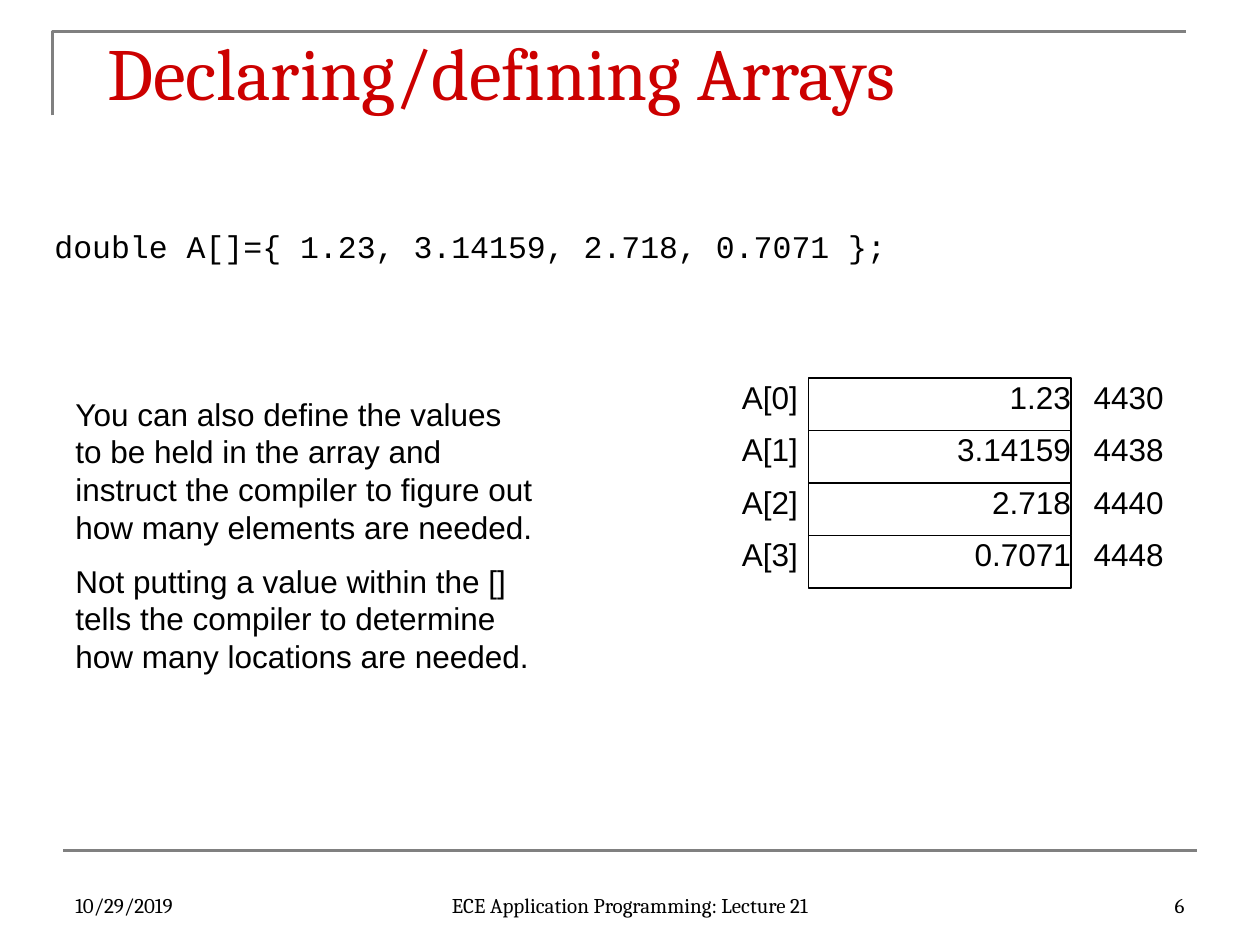
"""Builds the slide on declaring and defining arrays."""
import pptx
import pptx.dml.color
import pptx.enum.shapes
import pptx.enum.text
import pptx.oxml.ns
import pptx.util
import lxml.etree

Pt = pptx.util.Pt
ALIGN = pptx.enum.text.PP_ALIGN
ANCHOR = pptx.enum.text.MSO_ANCHOR
BLACK, GRAY, RED = "000000", "808080", "CC0000"


def color(value):
    """Return the colour for a hex string."""
    return pptx.dml.color.RGBColor.from_string(value)


def place(shape, left, top, width, height):
    """Move and size a shape in points."""
    shape.left, shape.top = Pt(left), Pt(top)
    shape.width, shape.height = Pt(width), Pt(height)


def write(shape, paragraphs, font="Arial", size=18, ink=BLACK,
          align=ALIGN.LEFT, anchor=ANCHOR.TOP, inset=None):
    """Fill a shape with formatted paragraphs."""
    frame = shape.text_frame
    frame.word_wrap = True
    frame.auto_size = pptx.enum.text.MSO_AUTO_SIZE.NONE
    frame.vertical_anchor = anchor
    if inset is not None:
        frame.margin_left = frame.margin_right = Pt(inset)
        frame.margin_top = frame.margin_bottom = Pt(inset)
    for index, text in enumerate(paragraphs):
        paragraph = frame.add_paragraph() if index else frame.paragraphs[0]
        paragraph.alignment = align
        paragraph.space_before = Pt(9 if index else 0)
        run = paragraph.add_run()
        run.text = text
        run.font.name, run.font.size = font, Pt(size)
        run.font.color.rgb = color(ink)


def add_text(slide, box, paragraphs, **style):
    """Add a text box with paragraphs."""
    shape = slide.shapes.add_textbox(*map(Pt, box))
    write(shape, paragraphs, **style)


def add_cell(slide, box, value):
    """Add an outlined memory cell with its value."""
    shape = slide.shapes.add_shape(
        pptx.enum.shapes.MSO_SHAPE.RECTANGLE, *map(Pt, box))
    shape.shadow.inherit = False
    shape.fill.background()
    shape.line.color.rgb = color(BLACK)
    shape.line.width = Pt(0.75)
    write(shape, [value], align=ALIGN.RIGHT, inset=0)


def add_corner(slide):
    """Add the open corner line beside the title."""
    builder = slide.shapes.build_freeform(Pt(30), Pt(66))
    builder.add_line_segments(
        [(Pt(30), Pt(18)), (Pt(678), Pt(18))], close=False)
    corner = builder.convert_to_shape()
    corner.shadow.inherit = False
    corner.fill.background()
    corner.line.color.rgb = color(GRAY)
    corner.line.width = Pt(1.5)


def add_rule(slide, left, right, top):
    """Add a horizontal gray rule."""
    rule = slide.shapes.add_connector(
        pptx.enum.shapes.MSO_CONNECTOR.STRAIGHT,
        Pt(left), Pt(top), Pt(right), Pt(top))
    rule.line.color.rgb = color(GRAY)
    rule.line.width = Pt(1.5)
    lxml.etree.SubElement(
        rule._element.spPr, pptx.oxml.ns.qn("a:effectLst"))


def add_array(slide, values, top=216, row_height=30, address=4430):
    """Add one row of index, value and address per element."""
    for index, value in enumerate(values):
        row_top = top + index * row_height
        add_text(slide, (390, row_top, 66, 28.8), [f"A[{index}]"],
                 align=ALIGN.RIGHT, inset=0)
        add_cell(slide, (462, row_top, 150, row_height), value)
        label = ("4430", "4438", "4440", "4448")[index]
        add_text(slide, (612, row_top, 66, 28.8), [label],
                 align=ALIGN.CENTER, inset=0)


def add_footer(slide):
    """Add the date, the course name and the slide number."""
    for left, width, text, align in (
            (36, 168, "10/29/2019", ALIGN.LEFT),
            (246, 228, "ECE Application Programming: Lecture 21", ALIGN.CENTER),
            (516, 168, "6", ALIGN.RIGHT)):
        add_text(slide, (left, 492, width, 36), [text], font="Cambria",
                 size=12, align=align, anchor=ANCHOR.BOTTOM)


def main():
    """Build and save the presentation."""
    presentation = pptx.Presentation()
    presentation.slide_width, presentation.slide_height = Pt(720), Pt(540)
    slide = presentation.slides.add_slide(presentation.slide_layouts[5])
    add_corner(slide)
    add_rule(slide, 36, 684, 486)
    title = slide.shapes.title
    place(title, 54, 12, 612, 42)
    write(title, ["Declaring/defining Arrays"], font="Cambria", size=42,
          ink=RED)
    add_array(slide, ["1.23", "3.14159", "2.718", "0.7071"])
    add_text(slide, (36, 222, 276, 280), [
        "You can also define the values to be held in the array and instruct "
        "the compiler to figure out how many elements are needed.",
        "Not putting a value within the [] tells the compiler to determine "
        "how many locations are needed."])
    add_text(slide, (24, 126, 654, 36),
             ["double A[]={ 1.23, 3.14159, 2.718, 0.7071 };"],
             font="Courier New")
    add_footer(slide)
    presentation.save("out.pptx")


main()
